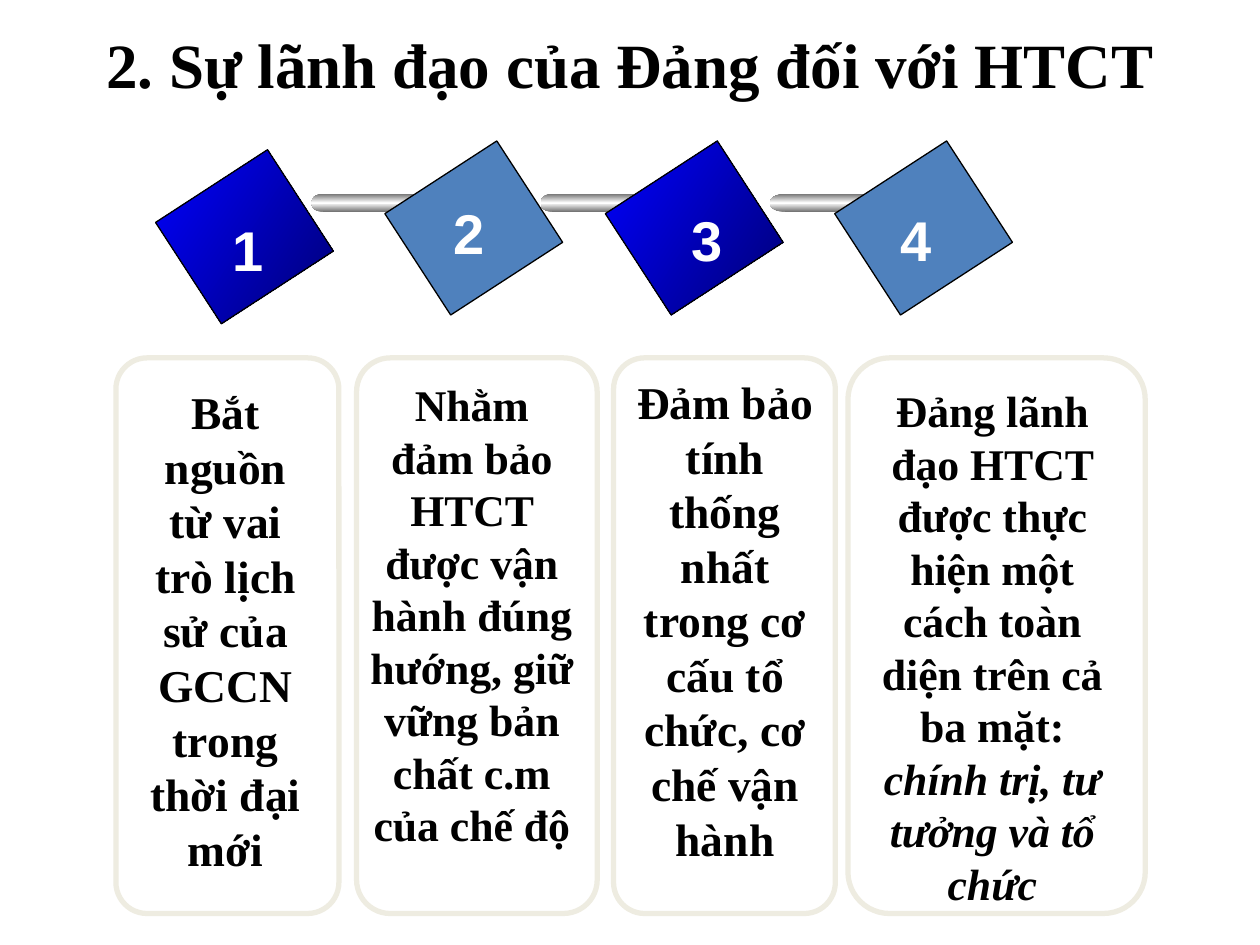
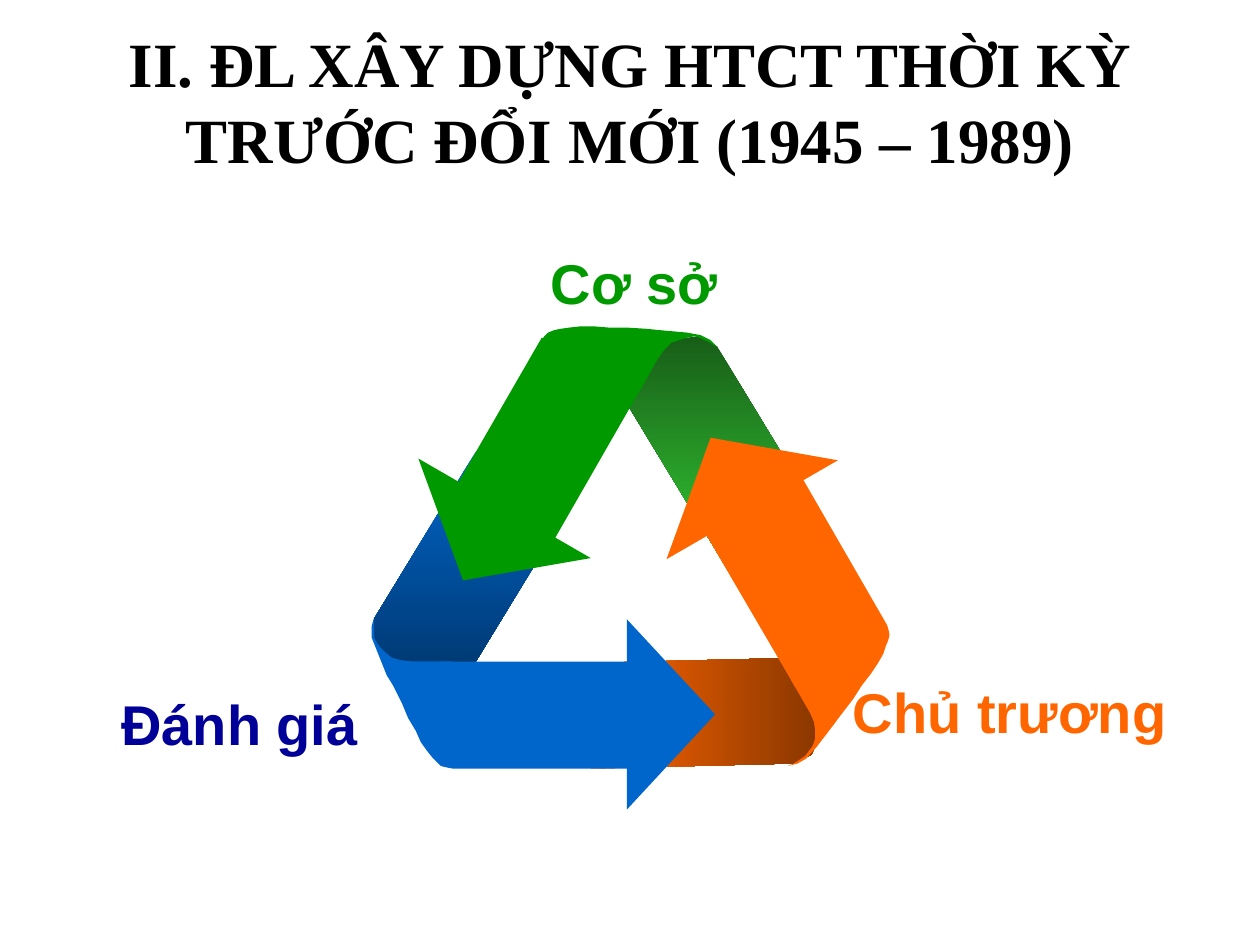
from pptx import Presentation
from pptx.dml.color import RGBColor
from pptx.enum.shapes import MSO_SHAPE as Preset
from pptx.enum.text import MSO_ANCHOR as Anchor, MSO_AUTO_SIZE as AutoSize, PP_ALIGN as Align
from pptx.oxml import parse_xml
from pptx.oxml.ns import nsdecls, qn
from pptx.util import Inches, Pt

COLUMNS, ROWS = 100, 75
BLACK, WHITE, CREAM, STEEL = "000000", "FFFFFF", "EEECE1", "4F81BD"
GREEN, ORANGE, BLUE, NAVY = "009900", "FF6600", "0066CC", "000099"
ROYAL_FADE = (["0000FF", "000076"], 33)
METAL = (["767676", WHITE, "767676"], 90)
SERIF, SANS = "Times New Roman", "Arial"


def color(hex_value):
    return RGBColor.from_string(hex_value)


class Deck:
    """Holds the style, the grid and the slide being drawn."""

    def __init__(self):
        self.presentation = Presentation()
        self.presentation.slide_width = Inches(10)
        self.presentation.slide_height = Inches(7.5)
        self.cell_width = self.presentation.slide_width / COLUMNS
        self.cell_height = self.presentation.slide_height / ROWS
        self.slide = None

    def place(self, column, row):
        return round(column * self.cell_width), round(row * self.cell_height)

    def box(self, left, top, width, height):
        return *self.place(left, top), *self.place(width, height)

    def new_slide(self, title, top, height):
        self.slide = self.presentation.slides.add_slide(self.presentation.slide_layouts[6])
        self.text((5, top, 90, height), [(title, False)], 36,
                  align=Align.CENTER, vertical_anchor=Anchor.MIDDLE, auto_size=AutoSize.NONE)

    def paint(self, shape, fill=None, line=None):
        """Fill is a hex string, (stops, angle) or None; line is (hex, points) or None."""
        shape.shadow.inherit = False
        if isinstance(fill, str):
            shape.fill.solid()
            shape.fill.fore_color.rgb = color(fill)
        else:
            shape.fill.background()
        if isinstance(fill, tuple):
            self.fade(shape, *fill)
        if line:
            shape.line.color.rgb = color(line[0])
            shape.line.width = Pt(line[1])
        else:
            shape.line.fill.background()

    def fade(self, shape, stops, angle):
        """Swap the empty fill for a linear gradient whose angle is fixed to the page."""
        marks = "".join(
            f'<a:gs pos="{100000 * index // (len(stops) - 1)}"><a:srgbClr val="{stop}"/></a:gs>'
            for index, stop in enumerate(stops))
        gradient = parse_xml(
            f'<a:gradFill {nsdecls("a")} rotWithShape="0"><a:gsLst>{marks}</a:gsLst>'
            f'<a:lin ang="{angle * 60000}" scaled="0"/></a:gradFill>')
        properties = shape.fill._xPr
        properties.replace(properties.find(qn("a:noFill")), gradient)

    def shape(self, preset, box, fill=None, line=None, rotation=0, adjustment=None):
        shape = self.slide.shapes.add_shape(preset, *self.box(*box))
        shape.rotation = rotation
        if adjustment is not None:
            shape.adjustments[0] = adjustment
        self.paint(shape, fill, line)

    def outline(self, points, fill):
        start, *others = [self.place(*point) for point in points]
        builder = self.slide.shapes.build_freeform(*start, scale=1.0)
        builder.add_line_segments(others, close=True)
        self.paint(builder.convert_to_shape(), fill)

    def text(self, box, runs, size, font=SERIF, ink=BLACK, align=Align.LEFT, **frame_format):
        """Runs are (wording, italic) pairs of one paragraph."""
        frame = self.slide.shapes.add_textbox(*self.box(*box)).text_frame
        frame_values = {"word_wrap": True, "auto_size": AutoSize.SHAPE_TO_FIT_TEXT} | frame_format
        for name, value in frame_values.items():
            setattr(frame, name, value)
        paragraph = frame.paragraphs[0]
        paragraph.alignment = align
        for wording, italic in runs:
            run = paragraph.add_run()
            run.text = wording
            font_values = {"name": font, "size": Pt(size), "bold": True, "italic": italic}
            for name, value in font_values.items():
                setattr(run.font, name, value)
            run.font.color.rgb = color(ink)

    def label(self, box, wording, ink, align=Align.LEFT, **frame_format):
        self.text(box, [(wording, False)], 32, SANS, ink, align, **frame_format)

    def rod(self, left, stretch):
        """A metal bar with a round end on either side."""
        parts = [(Preset.OVAL, 0, 1.7, 15.4, 1.4, None),
                 (Preset.RECTANGLE, 0.9, 8.2, 15.4, 1.4, None),
                 (Preset.OVAL, 8.4, 1.5, 15.4, 1.3, (WHITE, 1)),
                 (Preset.OVAL, 9.2, 0.4, 15.8, 0.4, None)]
        for preset, offset, width, top, height, line in parts:
            self.shape(preset, (left + offset * stretch, top, width * stretch, height), METAL, line)

    def arrowhead(self, box, fill, rotation):
        self.shape(Preset.ISOSCELES_TRIANGLE, box, fill, rotation=rotation)


def leadership_slide(deck):
    deck.new_slide("2. Sự lãnh đạo của Đảng đối với HTCT", 0, 10)

    for left, width in [(67.3, 23.6), (48.7, 17.6), (28.3, 19.1), (9.2, 17.7)]:
        deck.shape(Preset.ROUNDED_RECTANGLE, (left, 28.4, width, 44.1),
                   line=(CREAM, 3), adjustment=0.14)

    diamonds = [(14.6, 13.5, ROYAL_FADE), (32.8, 12.8, STEEL),
                (50.3, 12.8, ROYAL_FADE), (68.5, 12.8, STEEL)]
    rod_stretches = [1, 1, 1.3]
    for index, (left, top, fill) in enumerate(diamonds):
        deck.shape(Preset.RECTANGLE, (left, top, 9.6, 10.6), fill, (BLACK, 0.75), rotation=57)
        if index < len(rod_stretches):
            deck.rod(24.7 + 18.2 * index, rod_stretches[index])

    numbers = [(17.5, 16.6), (35, 15.3), (53.9, 15.8), (70.5, 15.8)]
    for number, (left, top) in enumerate(numbers, start=1):
        deck.label((left, top, 4.5, 6.4), str(number), WHITE, word_wrap=False)

    reasons = [
        ((10, 30, 15.8, 40), 26,
         [("Bắt nguồn từ vai trò lịch sử của GCCN trong thời đại mới", False)]),
        ((28.3, 29.5, 18.3, 38.5), 25,
         [("Nhằm đảm bảo HTCT được vận hành đúng hướng, giữ vững bản chất c.m của chế độ", False)]),
        ((49.2, 29.2, 16.7, 40), 26,
         [("Đảm bảo tính thống nhất trong cơ cấu tổ chức, cơ chế vận hành", False)]),
        ((67.5, 30, 22.5, 42.7), 25,
         [("Đảng lãnh đạo HTCT được thực hiện một cách toàn diện trên cả ba mặt: ", False),
          ("chính trị, tư tưởng và tổ chức", True)]),
    ]
    for box, size, runs in reasons:
        deck.text(box, runs, size, align=Align.CENTER)


def cycle_slide(deck):
    deck.new_slide("II. ĐL XÂY DỰNG HTCT THỜI KỲ TRƯỚC ĐỔI MỚI (1945 – 1989)", 1.7, 12.5)

    blue_back = [(45.4, 40), (34.9, 57.2), (29.6, 50.7), (29.7, 49.1), (37.8, 35.8)]
    green_back = [(57.8, 45.3), (47, 27.5), (55.5, 26.7), (56.9, 27.5), (65.2, 41.2)]
    orange_back = [(47.1, 52.6), (67.9, 52.1), (64.4, 59.9), (62.9, 60.6), (46.9, 61)]

    green_body = [(42.8, 44.9), (51, 30.6), (47.1, 28.4), (43, 26.8), (35.1, 40.5)]
    orange_body = [(54.8, 40.3), (63.1, 54.5), (67, 52.2), (70.4, 49.6), (62.5, 35.9)]
    blue_body = [(52.7, 52.5), (35.2, 52.5), (35.3, 56.9), (35.9, 61), (52.7, 61)]

    green_fold = [
        (50.5, 31.5), (42.9, 27.1), (43.2, 26.7), (43.5, 26.4), (44, 26.2), (44.5, 26.1),
        (45.2, 26), (46.1, 25.9), (47.1, 25.9), (48.3, 26), (49.7, 26), (51.3, 26.1),
        (52.3, 26.2), (54.5, 26.4), (55.6, 26.6), (56.4, 27), (57, 27.6), (56.5, 27.3),
        (56.2, 27.1), (55.9, 27), (55.5, 26.8), (55.1, 26.7), (54.5, 26.8), (53.9, 27),
        (53.3, 27.2), (52.7, 27.8), (52.2, 28.5)]
    orange_fold = [
        (62.8, 54), (70.4, 49.6), (70.5, 49.9), (70.6, 50.4), (70.5, 50.8), (70.3, 51.3),
        (70.1, 51.9), (69.7, 52.6), (69.1, 53.5), (68.4, 54.4), (67.7, 55.5), (66.7, 56.8),
        (66.1, 57.6), (64.8, 59.3), (64, 60.2), (63.3, 60.6), (62.5, 60.8), (63, 60.6),
        (63.3, 60.4), (63.6, 60.2), (63.9, 60), (64.2, 59.6), (64.5, 59.2), (64.7, 58.6),
        (64.7, 58), (64.6, 57.3), (64.3, 56.6)]
    blue_fold = [
        (35.9, 52.5), (35.9, 61), (35.4, 60.9), (35, 60.8), (34.7, 60.5), (34.3, 60.1),
        (33.9, 59.6), (33.4, 58.9), (33, 58), (32.4, 57), (31.9, 55.8), (31.2, 54.4),
        (30.7, 53.6), (29.9, 51.6), (29.5, 50.6), (29.5, 49.7), (29.7, 49), (29.7, 49.5),
        (29.7, 49.9), (29.7, 50.2), (29.7, 50.6), (29.9, 51), (30.2, 51.4), (30.6, 51.8),
        (31.1, 52.2), (31.8, 52.4), (32.7, 52.5)]

    deck.outline(blue_back, ([BLUE, "002F5E"], 90))
    deck.outline(green_back, (["185E18", "33CC33"], 90))
    deck.arrowhead((30.5, 39.9, 15.8, 6.6), GREEN, 210)
    deck.outline(green_body, GREEN)
    deck.outline(green_fold, GREEN)
    deck.outline(orange_back, ([ORANGE, "762F00"], 0))
    deck.arrowhead((50.2, 34.3, 15.7, 6.6), ORANGE, 330)
    deck.outline(orange_body, ORANGE)
    deck.outline(orange_fold, ORANGE)
    deck.outline(blue_fold, BLUE)
    deck.arrowhead((45.7, 53.2, 15.1, 7), BLUE, 90)
    deck.outline(blue_body, BLUE)

    deck.label((5, 54.2, 24.4, 6.4), "Đánh giá", NAVY, Align.RIGHT)
    deck.label((66.7, 53.3, 30.8, 6.4), "Chủ trương", ORANGE)
    deck.label((32.5, 19.2, 35.7, 6.4), "Cơ sở", GREEN, Align.CENTER)


def main():
    deck = Deck()
    leadership_slide(deck)
    cycle_slide(deck)
    deck.presentation.save("out.pptx")


if __name__ == "__main__":
    main()
